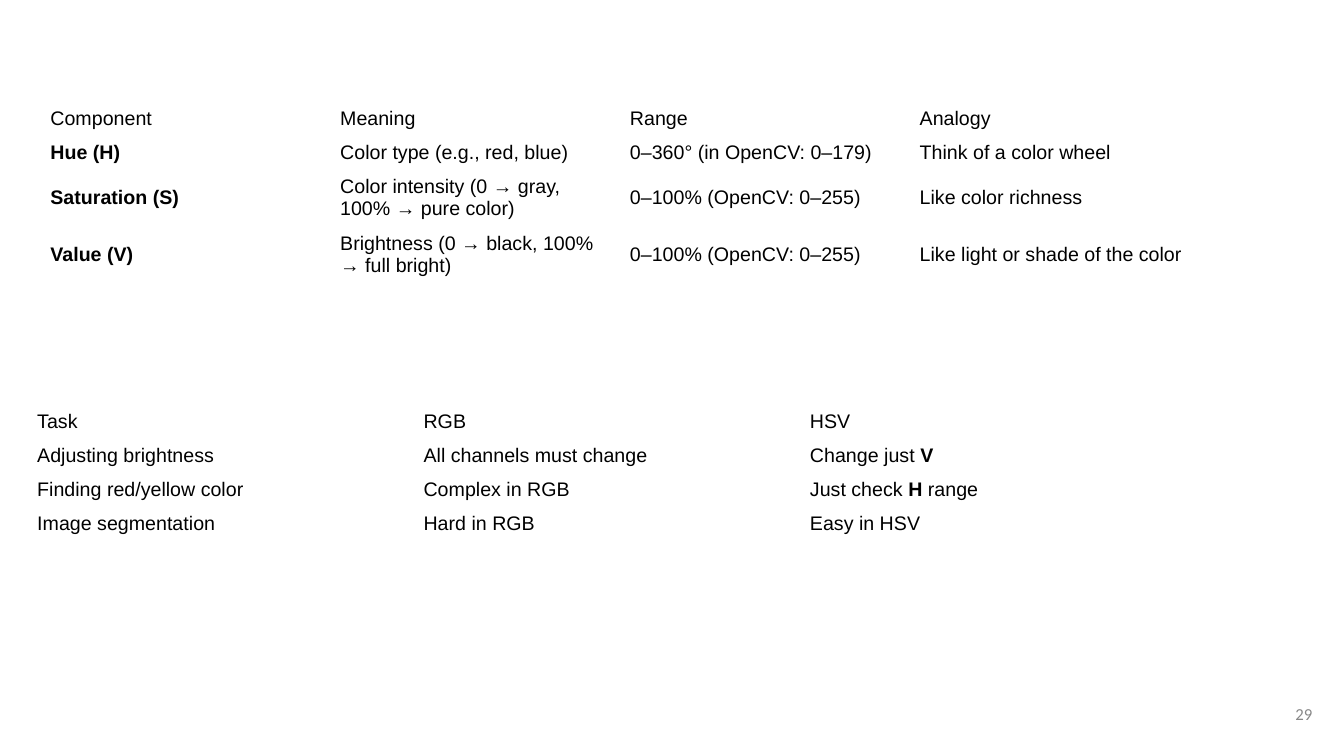
from dataclasses import dataclass

from pptx import Presentation
from pptx.dml.color import RGBColor
from pptx.enum.text import MSO_ANCHOR as Anchor, PP_ALIGN as Align
from pptx.slide import Slide
from pptx.util import Pt


@dataclass(frozen=True)
class Theme:
    table_font: str = "Arial"
    number_font: str = "Calibri"
    table_size: float = 14
    number_size: float = 12
    text_color: RGBColor = RGBColor(0, 0, 0)
    number_color: RGBColor = RGBColor(0x88, 0x88, 0x88)


@dataclass(frozen=True)
class TableSpec:
    left: float
    top: float
    row_heights: tuple[float, ...]
    rows: tuple[tuple[str, ...], ...]


THEME = Theme()
TABLE_WIDTH = 828
ONE_LINE = 24.1
TWO_LINES = 40.7
BOLD_MARK = "*"

COMPONENTS = TableSpec(
    28.8, 72.7, (ONE_LINE, ONE_LINE, TWO_LINES, TWO_LINES),
    (
        ("Component", "Meaning", "Range", "Analogy"),
        ("*Hue (H)*", "Color type (e.g., red, blue)",
         "0–360° (in OpenCV: 0–179)", "Think of a color wheel"),
        ("*Saturation (S)*", "Color intensity (0 → gray, 100% → pure color)",
         "0–100% (OpenCV: 0–255)", "Like color richness"),
        ("*Value (V)*", "Brightness (0 → black, 100% → full bright)",
         "0–100% (OpenCV: 0–255)", "Like light or shade of the color"),
    ),
)

COMPARISON = TableSpec(
    19.4, 289.4, (ONE_LINE,) * 4,
    (
        ("Task", "RGB", "HSV"),
        ("Adjusting brightness", "All channels must change", "Change just *V*"),
        ("Finding red/yellow color", "Complex in RGB", "Just check *H* range"),
        ("Image segmentation", "Hard in RGB", "Easy in HSV"),
    ),
)


def fill_cell(cell, text: str) -> None:
    cell.fill.background()
    cell.vertical_anchor = Anchor.MIDDLE
    para = cell.text_frame.paragraphs[0]
    for index, part in enumerate(text.split(BOLD_MARK)):
        if part:
            span = para.add_run()
            span.text = part
            span.font.name = THEME.table_font
            span.font.size = Pt(THEME.table_size)
            span.font.color.rgb = THEME.text_color
            span.font.bold = index % 2 == 1


def draw_table(page: Slide, spec: TableSpec) -> None:
    column_count = len(spec.rows[0])
    table = page.shapes.add_table(
        len(spec.rows), column_count, Pt(spec.left), Pt(spec.top),
        Pt(TABLE_WIDTH), Pt(sum(spec.row_heights)),
    ).table
    table.first_row = False
    table.horz_banding = False
    for column in table.columns:
        column.width = Pt(TABLE_WIDTH / column_count)
    for row, height, texts in zip(table.rows, spec.row_heights, spec.rows):
        row.height = Pt(height)
        for cell, text in zip(row.cells, texts):
            fill_cell(cell, text)


def draw_page_number(page: Slide, number: str) -> None:
    box = page.shapes.add_textbox(Pt(889.2), Pt(489.6), Pt(57.6), Pt(41))
    frame = box.text_frame
    frame.word_wrap = True
    frame.vertical_anchor = Anchor.MIDDLE
    frame.margin_left = frame.margin_right = Pt(9.4)
    frame.margin_top = frame.margin_bottom = Pt(9.4)
    frame.text = number
    para = frame.paragraphs[0]
    para.alignment = Align.RIGHT
    font = para.runs[0].font
    font.name = THEME.number_font
    font.size = Pt(THEME.number_size)
    font.color.rgb = THEME.number_color


def main() -> None:
    deck = Presentation()
    deck.slide_width, deck.slide_height = Pt(960), Pt(540)
    page = deck.slides.add_slide(deck.slide_layouts[6])
    draw_page_number(page, "29")
    for spec in (COMPONENTS, COMPARISON):
        draw_table(page, spec)
    deck.save("out.pptx")


if __name__ == "__main__":
    main()
